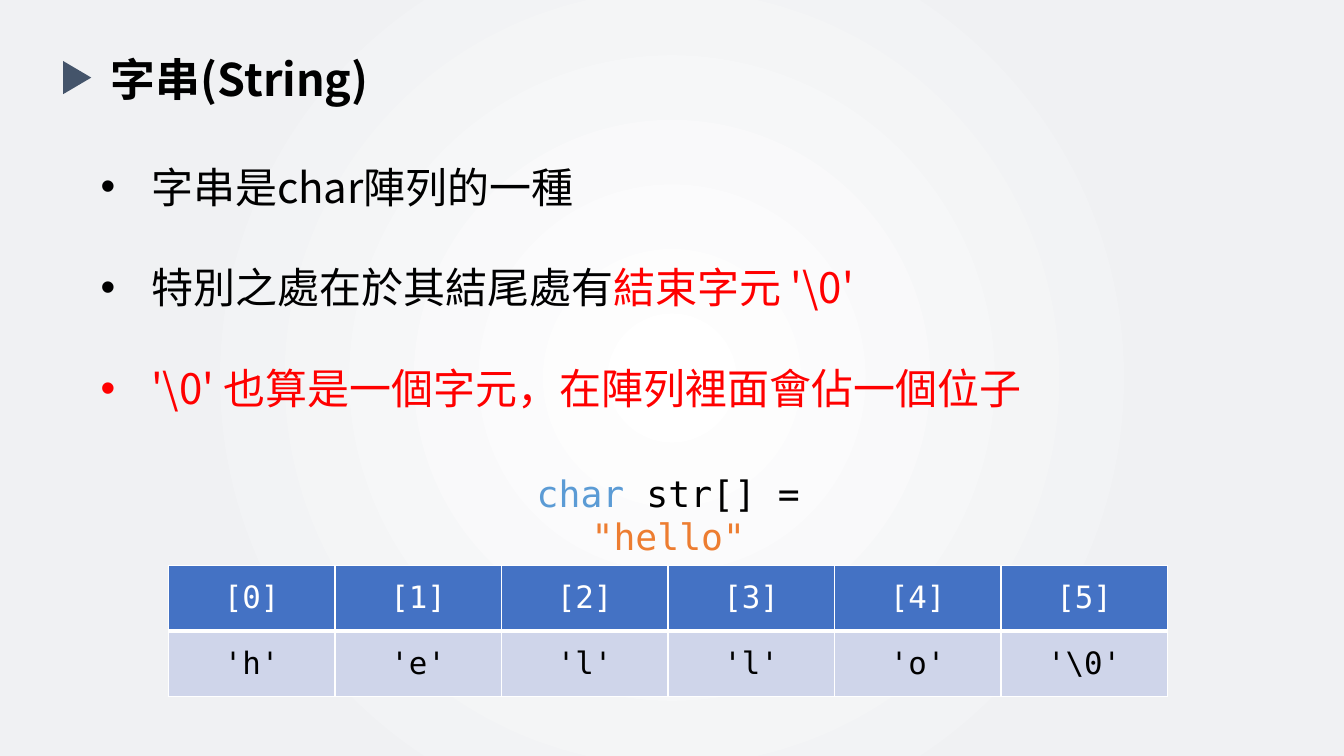
"""Build a slide on C strings and their ending character."""
import pptx
import pptx.util
import pptx.dml.color
import pptx.enum.shapes
import pptx.enum.text
import pptx.oxml
import pptx.oxml.ns
from lxml import etree

Inches, Pt = pptx.util.Inches, pptx.util.Pt
RGB = pptx.dml.color.RGBColor.from_string
qn = pptx.oxml.ns.qn
align = pptx.enum.text.PP_ALIGN
anchor = pptx.enum.text.MSO_ANCHOR

HUES = {"black": "000000", "white": "FFFFFF", "edge": "F0F1F3",
        "slate": "44546A", "red": "FF0000", "blue": "5B9BD5",
        "orange": "ED7D31", "head": "4472C4", "body": "CFD5EA"}
SANS, MONO = "Noto Sans CJK SC", "DejaVu Sans Mono"


def style(font, name, size, hue):
    font.name, font.size = name, Pt(size)
    font.color.rgb = RGB(HUES[hue])
    etree.SubElement(font._element, qn("a:ea")).set("typeface", name)


def border(cell, sides):
    props = cell._tc.get_or_add_tcPr()
    for spot, (side, width) in enumerate(sides.items()):
        line = etree.Element(qn("a:" + side), w=str(Pt(width)))
        fill = etree.SubElement(line, qn("a:solidFill"))
        etree.SubElement(fill, qn("a:srgbClr"), val=HUES["white"])
        props.insert(spot, line)


deck = pptx.Presentation()
deck.slide_width, deck.slide_height = Inches(13.33), Inches(7.5)
slide = deck.slides.add_slide(deck.slide_layouts[5])

back = slide.background.fill
back.gradient()
for stop, hue, place in zip(back.gradient_stops, ("white", "edge"), (0, 0.67)):
    stop.color.rgb = RGB(HUES[hue])
    stop.position = place
grad = slide.element.find(".//" + qn("a:gradFill"))
grad.remove(grad.find(qn("a:lin")))
glow = etree.SubElement(grad, qn("a:path"), path="circle")
etree.SubElement(glow, qn("a:fillToRect"), l="50000", t="50000", r="50000", b="50000")

title = slide.shapes.title
title.left, title.top = Inches(1), Inches(0.46)
title.width, title.height = Inches(12.22), Inches(0.64)
title.text_frame.text = "字串(String)"
title.text_frame.vertical_anchor = anchor.MIDDLE
para = title.text_frame.paragraphs[0]
para.alignment = align.LEFT
para.font.bold = True
style(para.font, SANS, 32, "black")

mark = slide.shapes.add_shape(
    pptx.enum.shapes.MSO_SHAPE.ISOSCELES_TRIANGLE,
    Inches(0.6), Inches(0.63), Inches(0.33), Inches(0.28))
mark.rotation = 90
mark.shadow.inherit = False
mark.fill.solid()
mark.fill.fore_color.rgb = RGB(HUES["slate"])
mark.line.fill.background()

points = [
    [("字串是char陣列的一種", "black")],
    [("特別之處在於其結尾處有", "black"), ("結束字元 '\\0'", "red")],
    [("'\\0' 也算是一個字元，在陣列裡面會佔一個位子", "red")],
]
frame = slide.shapes.add_textbox(
    Inches(0.9), Inches(1.55), Inches(9.43), Inches(2.63)).text_frame
frame.word_wrap = True
for spot, parts in enumerate(points):
    para = frame.paragraphs[0] if spot == 0 else frame.add_paragraph()
    para.space_before = Pt(36 if spot else 0)
    style(para.font, SANS, 30, parts[0][1])
    props = para._p.get_or_add_pPr()
    props.set("marL", str(Inches(0.5)))
    props.set("indent", str(Inches(-0.5)))
    bullet = etree.Element(qn("a:buChar"), char="•")
    props.insert_element_before(bullet, "a:defRPr")
    face = etree.Element(qn("a:buFont"), typeface="Arial")
    bullet.addprevious(face)
    for text, hue in parts:
        run = para.add_run()
        run.text = text
        if len(parts) > 1:
            run.font.color.rgb = RGB(HUES[hue])

rows = [["[0]", "[1]", "[2]", "[3]", "[4]", "[5]"],
        ["'h'", "'e'", "'l'", "'l'", "'o'", "'\\0'"]]
table = slide.shapes.add_table(
    2, 6, Inches(1.67), Inches(5.61), Inches(9.91), Inches(1.3)).table
for r, (row, fill, hue, base) in enumerate(
        zip(rows, ("head", "body"), ("white", "black"), (3, 1))):
    for c, text in enumerate(row):
        cell = table.cell(r, c)
        cell.text = text
        cell.vertical_anchor = anchor.MIDDLE
        cell.fill.solid()
        cell.fill.fore_color.rgb = RGB(HUES[fill])
        border(cell, {"lnL": 1, "lnR": 1, "lnT": 1, "lnB": base})
        para = cell.text_frame.paragraphs[0]
        para.alignment = align.CENTER
        style(para.font, MONO, 22, hue)

frame = slide.shapes.add_textbox(
    Inches(4.53), Inches(4.62), Inches(4.2), Inches(0.54)).text_frame
frame.word_wrap = True
para = frame.paragraphs[0]
para.alignment = align.CENTER
style(para.font, MONO, 26, "black")
for text, hue in (("char ", "blue"), ("str[] = ", "black"), ('"hello"', "orange")):
    run = para.add_run()
    run.text = text
    run.font.color.rgb = RGB(HUES[hue])

deck.save("out.pptx")
